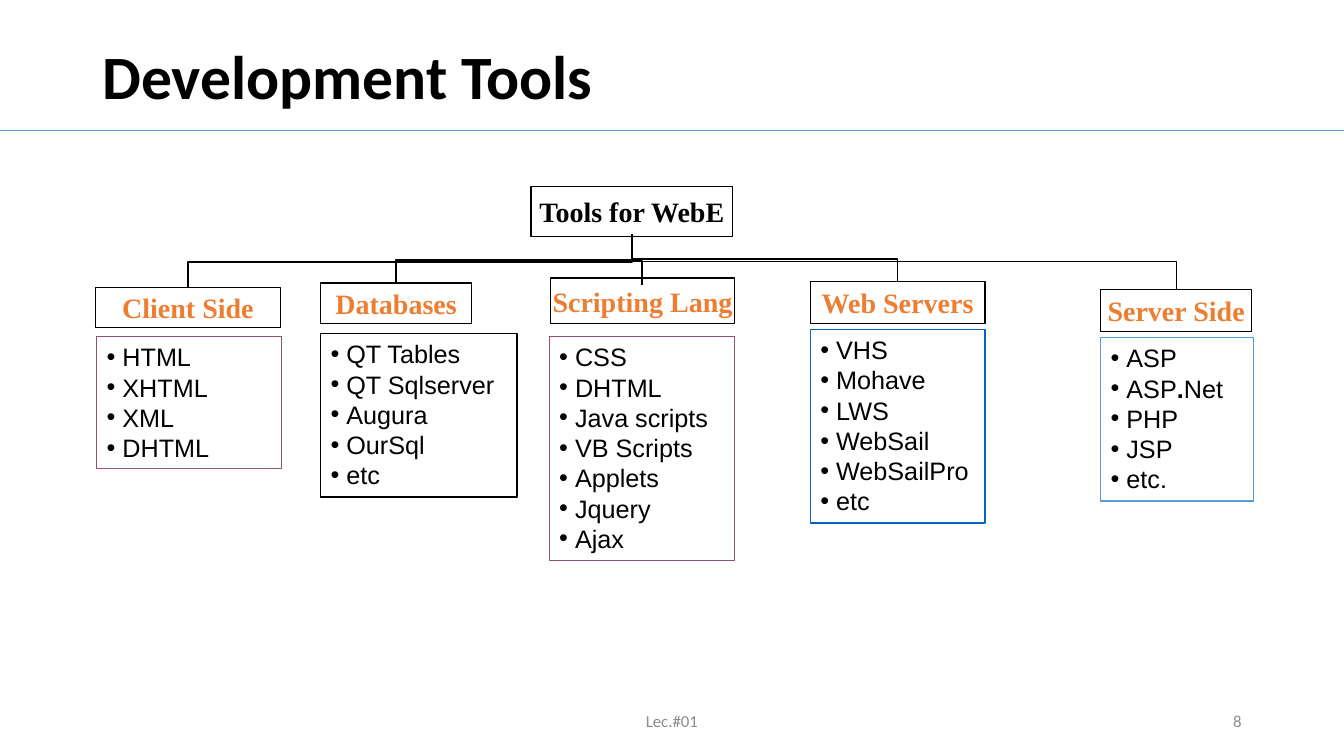
from pptx import Presentation
from pptx import util as u
from pptx.dml import color
from pptx.enum import shapes, text
from pptx.oxml import ns, xmlchemy

BLACK, WHITE, ORANGE = "000000", "FFFFFF", "ED7D31"
BLUE, PLUM, LINK, GREY = "5B9BD5", "954F72", "0563C1", "8C8C8C"
LEFT, CENTER, RIGHT = text.PP_ALIGN.LEFT, text.PP_ALIGN.CENTER, text.PP_ALIGN.RIGHT


def rgb(value):
    return color.RGBColor.from_string(value)


def points(*values):
    return [u.Pt(value) for value in values]


class ToolsSlide:
    head_font, body_font, frame_font = "Times New Roman", "Arial", "Calibri"
    bullet_gap = 11.3

    def __init__(self, slide):
        self.shapes = slide.shapes

    def style(self, paragraph, font, size, fill, bold=False, align=LEFT):
        paragraph.alignment = align
        for run in paragraph.runs:
            run.font.name, run.font.size, run.font.bold = font, u.Pt(size), bold
            run.font.color.rgb = rgb(fill)

    def label(self, box, wording, size, fill=BLACK, bold=False, align=LEFT):
        frame = self.shapes.add_textbox(*points(*box)).text_frame
        frame.word_wrap = True
        frame.vertical_anchor = text.MSO_ANCHOR.MIDDLE
        frame.text = wording
        self.style(frame.paragraphs[0], self.frame_font, size, fill, bold, align)
        return frame

    def rectangle(self, box, outline, fill=None):
        rect = self.shapes.add_shape(shapes.MSO_SHAPE.RECTANGLE, *points(*box))
        rect.shadow.inherit = False
        rect.line.color.rgb = rgb(outline)
        rect.line.width = u.Pt(1)
        if fill:
            rect.fill.solid()
            rect.fill.fore_color.rgb = rgb(fill)
        else:
            rect.fill.background()
        return rect.text_frame

    def heading(self, box, wording, font_color=ORANGE, fill=None):
        frame = self.rectangle(box, BLACK, fill)
        frame.word_wrap = False
        frame.vertical_anchor = text.MSO_ANCHOR.MIDDLE
        frame.text = wording
        self.style(frame.paragraphs[0], self.head_font, 20, font_color, True, CENTER)

    def bullets(self, box, items, outline, fill=None):
        frame = self.rectangle(box, outline, fill)
        frame.word_wrap = True
        frame.vertical_anchor = text.MSO_ANCHOR.TOP
        frame.auto_size = text.MSO_AUTO_SIZE.SHAPE_TO_FIT_TEXT
        for index, item in enumerate(items):
            paragraph = frame.add_paragraph() if index else frame.paragraphs[0]
            for piece in item.split("|"):
                paragraph.add_run().text = piece
            self.style(paragraph, self.body_font, 18, BLACK)
            for run in paragraph.runs:
                run.font.bold = run.text == "."
            props = paragraph._p.get_or_add_pPr()
            props.set("marL", str(u.Pt(self.bullet_gap)))
            props.set("indent", str(-u.Pt(self.bullet_gap)))
            font = xmlchemy.OxmlElement("a:buFont")
            font.set("typeface", self.body_font)
            mark = xmlchemy.OxmlElement("a:buChar")
            mark.set("char", "•")
            props.extend([font, mark])

    def connector(self, kind, ends, outline=BLACK, width=1):
        link = self.shapes.add_connector(kind, *points(*ends))
        link.line.color.rgb = rgb(outline)
        link.line.width = u.Pt(width)
        link._element.spPr.append(xmlchemy.OxmlElement("a:effectLst"))
        return link

    def branch(self, x1, y1, x2, y2):
        mid_x, mid_y = (x1 + x2) / 2, (y1 + y2) / 2
        half_w, half_h = (y2 - y1) / 2, abs(x2 - x1) / 2
        side = 1 if x2 < x1 else -1
        link = self.connector(shapes.MSO_CONNECTOR.ELBOW, (
            mid_x - side * half_w, mid_y - half_h, mid_x + side * half_w, mid_y + half_h))
        turn = 90 if side == 1 else 270
        link._element.spPr.find(ns.qn("a:xfrm")).set("rot", str(turn * 60000))

    def corner(self, *ends):
        link = self.connector(shapes.MSO_CONNECTOR.ELBOW, ends)
        link._element.spPr.find(ns.qn("a:prstGeom")).set("prst", "bentConnector2")


GROUPS = [
    ("Client Side", (68.4, 205.2, 131.8, 28.8), (69.1, 240.5, 131.8, 94.3), PLUM, None, 169.2,
     ["HTML", "XHTML", "XML", "DHTML"]),
    ("Server Side", (786.2, 206.6, 108, 30.2), (786.2, 241.2, 109.4, 116.6), BLUE, None, 167,
     ["ASP", "ASP|.|Net", "PHP", "JSP", "etc."]),
    ("Databases", (229, 202.3, 108, 28.8), (229, 238.3, 140.4, 116.6), BLACK, WHITE, 169.2,
     ["QT Tables", "QT Sqlserver", "Augura", "OurSql", "etc"]),
    ("Web Servers", (578.9, 200.9, 124.6, 30.2), (578.9, 235.4, 124.6, 138.2), LINK, None, 169.2,
     ["VHS", "Mohave", "LWS", "WebSail", "WebSailPro", "etc"]),
    ("Scripting Lang", (393.1, 198.7, 131.8, 32.4), (392.4, 240.5, 132.5, 159.8), PLUM, None, None,
     ["CSS", "DHTML", "Java scripts", "VB Scripts", "Applets", "Jquery", "Ajax"]),
]


def main():
    deck = Presentation()
    deck.slide_width, deck.slide_height = points(960, 540)
    page = ToolsSlide(deck.slides.add_slide(deck.slide_layouts[6]))

    title = page.label((66, 4.3, 828, 104.4), "Development Tools", 44, bold=True)
    title.paragraphs[0].line_spacing = 0.9
    page.connector(shapes.MSO_CONNECTOR.STRAIGHT, (0, 93.3, 960, 93.3), BLUE, 0.5)

    page.heading((379.4, 133.2, 144, 36), "Tools for WebE", BLACK, WHITE)
    for name, head, body, outline, fill, start, items in GROUPS:
        page.heading(head, name)
        page.bullets(body, items, outline, fill)
        if start:
            page.branch(451.4, start, head[0] + head[2] / 2, head[1])
    page.corner(403.2, 186.5, 458.6, 203.8)

    page.label((318, 500.5, 324, 28.8), "Lec.#01", 12, GREY, align=CENTER)
    page.label((678, 500.5, 216, 28.8), "8", 12, GREY, align=RIGHT)
    deck.save("out.pptx")


if __name__ == "__main__":
    main()
